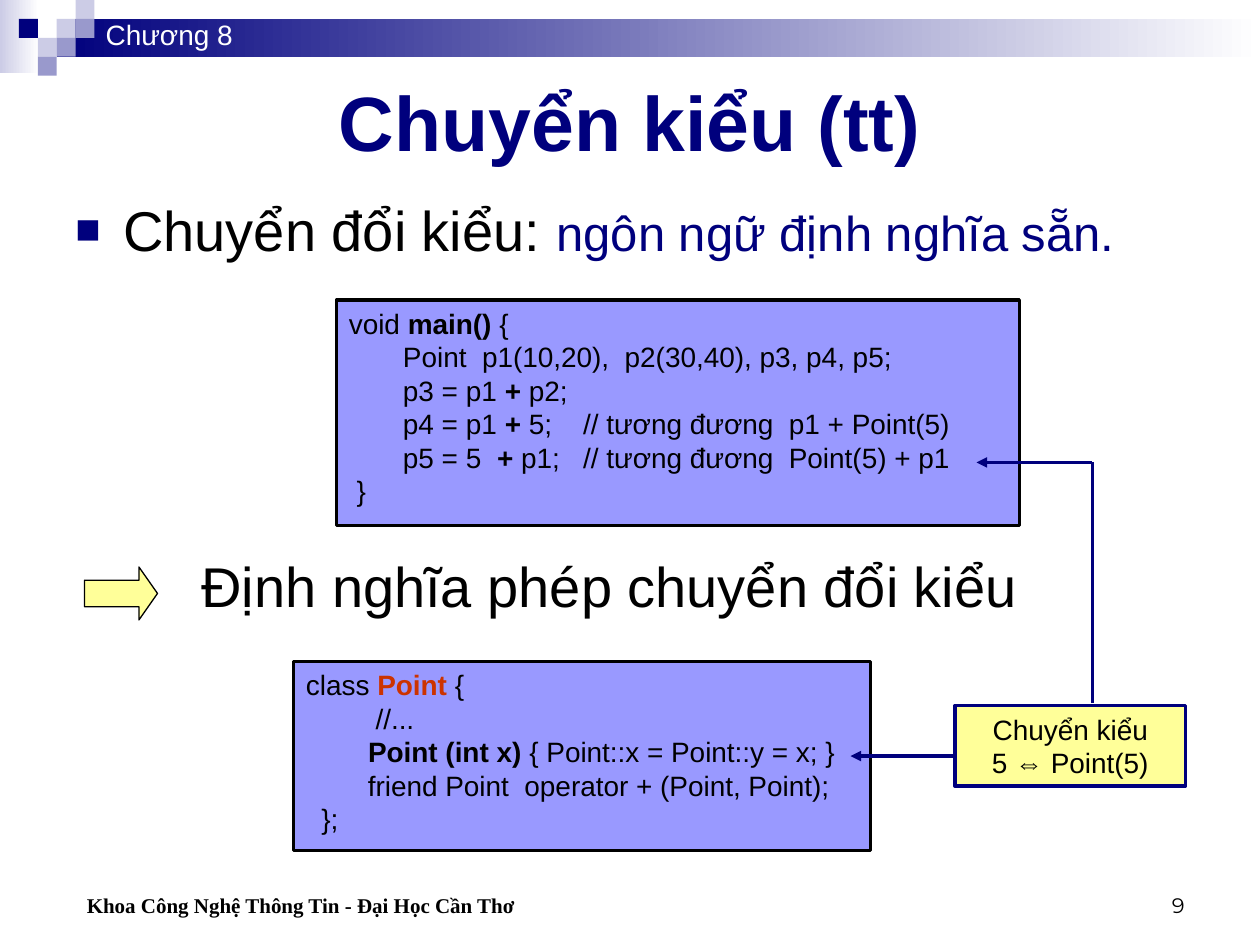
from lxml import etree
from pptx import Presentation
from pptx.dml.color import RGBColor
from pptx.enum.shapes import MSO_CONNECTOR, MSO_SHAPE
from pptx.enum.text import MSO_ANCHOR, MSO_AUTO_SIZE, PP_ALIGN
from pptx.oxml.ns import qn
from pptx.util import Inches, Pt

RECT, ARROW = MSO_SHAPE.RECTANGLE, MSO_SHAPE.RIGHT_ARROW
STRAIGHT = MSO_CONNECTOR.STRAIGHT
TOP, MIDDLE, BOTTOM = MSO_ANCHOR.TOP, MSO_ANCHOR.MIDDLE, MSO_ANCHOR.BOTTOM
LEFT, CENTER, RIGHT = PP_ALIGN.LEFT, PP_ALIGN.CENTER, PP_ALIGN.RIGHT
NO_FIT = MSO_AUTO_SIZE.NONE

NAVY, LILAC, PALE, MID = "00007D", "9999FF", "CCCCE6", "9999CC"
BLACK, WHITE, YELLOW, RED = "000000", "FFFFFF", "FFFF99", "CC3300"
BOLD = {"bold": True}

TITLE = "Chuyển kiểu (tt)"
BANDS = [((0, 0, 0.31, 0.58), PALE), ((0.45, 0.15, 9.55, 0.3), NAVY)]
TILE = 0.15
TILES = [(3, 1, PALE), (4, 0, PALE), (4, 1, MID), (2, 2, PALE),
         (1, 1, NAVY), (3, 2, MID), (2, 3, MID)]

MAIN_CODE = [
    [("void ", {}), ("main()", BOLD), (" {", {})],
    [("       Point  p1(10,20),  p2(30,40), p3, p4, p5;", {})],
    [("       p3 = p1 ", {}), ("+", BOLD), (" p2;", {})],
    [("       p4 = p1 ", {}), ("+ ", BOLD), ("5;    // tương đương  p1 + Point(5)", {})],
    [("       p5 = 5  ", {}), ("+", BOLD), (" p1;   // tương đương  Point(5) + p1", {})],
    [(" }", {})],
]
CLASS_CODE = [
    [("class ", {}), ("Point", {"bold": True, "color": RED}), (" {", {})],
    [("         //...", {})],
    [("        ", {}), ("Point (int x)", BOLD), (" { Point::x = Point::y = x; }", {})],
    [("        friend Point  operator + (Point, Point);", {})],
    [("  };", {})],
]
NOTE = [[("Chuyển kiểu", {})], [("5 ⇔ Point(5)", {})]]
PANELS = [
    ((2.67, 2.38, 5.42, 1.79), LILAC, BLACK, MAIN_CODE, LEFT, TOP),
    ((2.33, 5.25, 4.58, 1.5), LILAC, BLACK, CLASS_CODE, LEFT, TOP),
    ((7.58, 5.6, 1.83, 0.64), YELLOW, NAVY, NOTE, CENTER, MIDDLE),
]
LINES = [((7.58, 6), (6.75, 6), True), ((8.67, 5.58), (8.67, 3.67), False),
         ((8.67, 3.67), (7.75, 3.67), True)]

BULLET = [[("Chuyển đổi kiểu: ", {"size": 32}),
           ("ngôn ngữ định nghĩa sẵn.", {"size": 28, "color": NAVY})]]
RESULT = [[("Định nghĩa phép chuyển đổi kiểu", {"size": 32})]]
CHAPTER = [[("Chương 8", {"color": WHITE})]]
FOOTER = [[("Khoa Công Nghệ Thông Tin - Đại Học Cần Thơ",
            {"size": 12, "name": "Times New Roman", "bold": True})]]
NUMBER = [[("9", {"size": 12, "name": "Montserrat"})]]
LABELS = [
    ((1.5, 4.33, 7.17, 0.75), RESULT, LEFT, TOP),
    ((0.74, 0.09, 1.75, 0.37), CHAPTER, LEFT, TOP),
    ((0.59, 6.83, 4.49, 0.5), FOOTER, LEFT, BOTTOM),
    ((7.17, 6.83, 2.33, 0.5), NUMBER, RIGHT, BOTTOM),
]


def rgb(value):
    """Turn a hex string into a colour."""
    return RGBColor.from_string(value)


def style(r, size=16, name="Arial", color=BLACK, bold=False):
    """Set the font of a run."""
    r.font.size, r.font.name, r.font.bold = Pt(size), name, bold
    r.font.color.rgb = rgb(color)


def write(sp, lines, align=LEFT, anchor=TOP):
    """Fill a shape with lines of styled runs."""
    tf = sp.text_frame
    tf.word_wrap, tf.vertical_anchor, tf.auto_size = True, anchor, NO_FIT
    for i, line in enumerate(lines):
        p = tf.add_paragraph() if i else tf.paragraphs[0]
        p.alignment = align
        for text, look in line:
            r = p.add_run()
            r.text = text
            style(r, **look)


def add_shape(s, kind, at, fill, line=None, width=2):
    """Add a flat preset shape."""
    sp = s.shapes.add_shape(kind, *map(Inches, at))
    sp.shadow.inherit = False
    sp.fill.solid()
    sp.fill.fore_color.rgb = rgb(fill)
    if line:
        sp.line.color.rgb = rgb(line)
        sp.line.width = Pt(width)
    else:
        sp.line.fill.background()
    return sp


def add_band(s, at, color):
    """Add a band that fades to white on the right."""
    fill = add_shape(s, RECT, at, color).fill
    fill.gradient()
    fill.gradient_angle = 180
    for stop, value in zip(fill.gradient_stops, (WHITE, color)):
        stop.color.rgb = rgb(value)


def add_label(s, at, lines, align=LEFT, anchor=TOP):
    """Add a text box."""
    sp = s.shapes.add_textbox(*map(Inches, at))
    write(sp, lines, align, anchor)
    return sp


def add_bullet(p, indent):
    """Give a paragraph a square bullet and a hanging indent."""
    pPr = p._p.get_or_add_pPr()
    pPr.set("marL", str(Inches(indent)))
    pPr.set("indent", str(-Inches(indent)))
    color = etree.SubElement(pPr, qn("a:buClr"))
    etree.SubElement(color, qn("a:srgbClr"), val=NAVY)
    etree.SubElement(pPr, qn("a:buSzPct"), val="75000")
    etree.SubElement(pPr, qn("a:buFont"), typeface="Arial")
    etree.SubElement(pPr, qn("a:buChar"), char="■")


def add_line(s, start, end, arrow):
    """Add a navy line, with an arrowhead at its end if asked."""
    cx = s.shapes.add_connector(STRAIGHT, *map(Inches, start + end))
    cx.line.color.rgb = rgb(NAVY)
    cx.line.width = Pt(2)
    if arrow:
        etree.SubElement(cx.line._get_or_add_ln(), qn("a:tailEnd"), type="triangle")
    etree.SubElement(cx._element.spPr, qn("a:effectLst"))


def main():
    """Build the slide."""
    prs = Presentation()
    prs.slide_width, prs.slide_height = Inches(10), Inches(7.5)
    s = prs.slides.add_slide(prs.slide_layouts[5])

    for at, color in BANDS:
        add_band(s, at, color)
    for col, row, color in TILES:
        add_shape(s, RECT, (col * TILE, row * TILE, TILE, TILE), color)

    title = s.shapes.title
    title.left, title.top, title.width, title.height = map(Inches, (0.5, 0.5, 9, 0.92))
    write(title, [[(TITLE, {"size": 44, "color": NAVY, "bold": True})]], CENTER, MIDDLE)

    for at, fill, line, lines, align, anchor in PANELS:
        write(add_shape(s, RECT, at, fill, line), lines, align, anchor)
    for start, end, arrow in LINES:
        add_line(s, start, end, arrow)

    body = add_label(s, (0.5, 1.5, 9, 0.67), BULLET)
    add_bullet(body.text_frame.paragraphs[0], 0.38)
    arrow = add_shape(s, ARROW, (0.67, 4.5, 0.58, 0.42), YELLOW, BLACK, 0.75)
    arrow.adjustments[1] = 0.35
    for label in LABELS:
        add_label(s, *label)

    prs.save("out.pptx")


if __name__ == "__main__":
    main()
